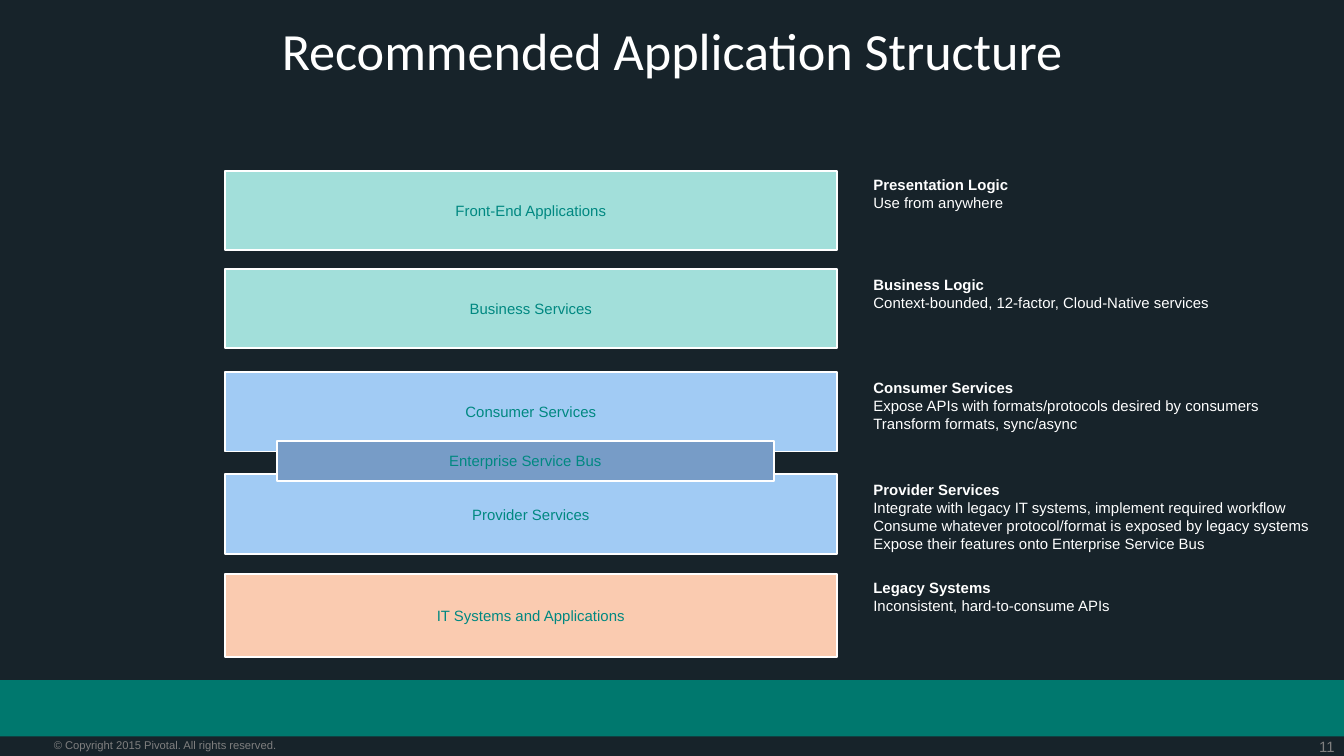
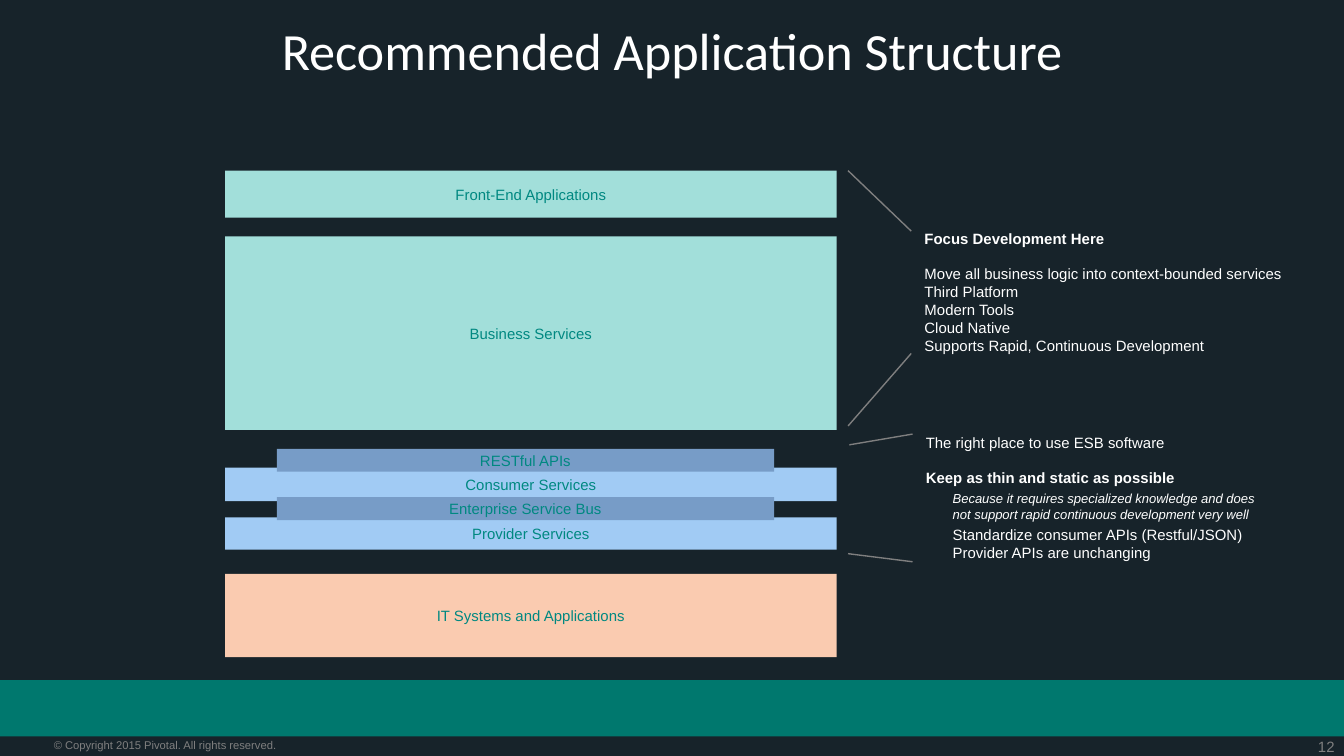
from copy import deepcopy
from dataclasses import dataclass, field
from lxml.etree import SubElement
from pptx import Presentation
from pptx.dml.color import RGBColor
from pptx.enum.shapes import MSO_CONNECTOR, MSO_SHAPE
from pptx.enum.text import MSO_ANCHOR, MSO_AUTO_SIZE, PP_ALIGN
from pptx.oxml.ns import qn
from pptx.util import Inches, Pt

TITLE = "Recommended Application Structure"
COPYRIGHT = "© Copyright 2015 Pivotal. All rights reserved."

LAYERED = {
    "number": 11,
    "outlined": True,
    "layers": [
        ("IT Systems and Applications", "legacy", 42.7, 6.2),
        ("Provider Services", "service", 35.3, 5.9),
        ("Consumer Services", "service", 27.7, 5.9),
        ("Business Services", "business", 20, 5.9),
        ("Front-End Applications", "business", 12.7, 5.9),
        ("Enterprise Service Bus", "bus", 32.8, 3),
    ],
    "notes": [
        (64, 42.6, 19.7, 3.7, [
            ("Legacy Systems", "heading"),
            ("Inconsistent, hard-to-consume APIs", "body"),
        ]),
        (64, 35.3, 34.7, 6.4, [
            ("Provider Services", "heading"),
            ("Integrate with legacy IT systems, implement required workflow", "body"),
            ("Consume whatever protocol/format is exposed by legacy systems", "body"),
            ("Expose their features onto Enterprise Service Bus", "body"),
        ]),
        (64, 27.7, 31, 5, [
            ("Consumer Services", "heading"),
            ("Expose APIs with formats/protocols desired by consumers", "body"),
            ("Transform formats, sync/async", "body"),
        ]),
        (64, 20, 27.2, 5, [
            ("Business Logic", "heading"),
            ("Context-bounded, 12-factor, Cloud-Native services", "body"),
        ]),
        (64, 12.6, 12.3, 5, [
            ("Presentation Logic", "heading"),
            ("Use from anywhere", "body"),
        ]),
    ],
    "callouts": [],
}

FOCUSED = {
    "number": 12,
    "outlined": False,
    "layers": [
        ("IT Systems and Applications", "legacy", 42.7, 6.2),
        ("Provider Services", "service", 38.5, 2.4),
        ("Consumer Services", "service", 34.8, 2.5),
        ("Business Services", "business", 17.6, 14.4),
        ("Front-End Applications", "business", 12.7, 3.5),
        ("Enterprise Service Bus", "bus", 37, 1.7),
        ("RESTful APIs", "bus", 33.4, 1.7),
    ],
    "notes": [
        (67.8, 16.6, 28.8, 10.4, [
            ("Focus Development Here", "heading"),
            ("Move all business logic into context-bounded services", "spaced"),
            ("Third Platform", "body"),
            ("Modern Tools", "body"),
            ("Cloud Native", "body"),
            ("Supports Rapid, Continuous Development", "body"),
        ]),
        (67.9, 31.8, 27, 10.7, [
            ("The right place to use ESB software", "body"),
            ("Keep as thin and static as possible", "spaced heading"),
            ("Because it requires specialized knowledge and does\v"
             "not support rapid continuous development very well", "aside"),
            ("Standardize consumer APIs (Restful/JSON)", "indented"),
            ("Provider APIs are unchanging", "indented"),
        ]),
    ],
    "callouts": [
        ((63.2, 33.1), (67.9, 32.3)),
        ((63.1, 41.2), (67.9, 41.8)),
        ((63.1, 31.7), (67.8, 26.3)),
        ((67.8, 17.2), (63.1, 12.7)),
    ],
}


@dataclass
class Theme:
    colours: dict = field(default_factory=lambda: {
        "ground": "17232A", "strip": "00786E", "quiet": "7F7F7F", "text": "FFFFFF",
        "label": "008881", "legacy": "FACBB0", "service": "A1CBF4",
        "business": "A2DFDA", "bus": "779CC7",
    })
    fonts: dict = field(default_factory=lambda: {
        "title": dict(name="Calibri", size=Pt(28)),
        "fine": dict(name="Arial", size=Pt(6)),
        "body": dict(name="Arial", size=Pt(8), bold=False),
        "heading": dict(name="Arial", size=Pt(8), bold=True),
        "aside": dict(name="Arial", size=Pt(7), italic=True),
    })
    paragraphs: dict = field(default_factory=lambda: {
        "title": dict(alignment=PP_ALIGN.CENTER, line_spacing=0.9),
        "label": dict(alignment=PP_ALIGN.CENTER),
        "number": dict(alignment=PP_ALIGN.RIGHT),
        "spaced": dict(space_before=Pt(9.2)),
        "spaced heading": dict(space_before=Pt(9.2)),
        "aside": dict(space_before=Pt(2), space_after=Pt(2)),
    })
    font_of: dict = field(default_factory=lambda: {
        "title": "title", "fine": "fine", "heading": "heading",
        "spaced heading": "heading", "aside": "aside",
    })
    indented: tuple = ("aside", "indented")

    def colour(self, role):
        return RGBColor.from_string(self.colours[role])


THEME = Theme()
COLUMNS = 100
BAND = (16.75, 45.5)
BUS = (20.6, 37)


def cells(*counts):
    return [Inches(count * 10 / COLUMNS) for count in counts]


def apply(target, values):
    for attribute, value in values.items():
        setattr(target, attribute, value)


def write(frame, lines, colour):
    for index, (wording, style) in enumerate(lines):
        paragraph = frame.add_paragraph() if index else frame.paragraphs[0]
        paragraph.text = wording
        apply(paragraph, THEME.paragraphs.get(style, {}))
        if style in THEME.indented:
            paragraph._p.get_or_add_pPr().set("marL", str(Inches(0.2)))
        for run in paragraph.runs:
            apply(run.font, THEME.fonts[THEME.font_of.get(style, "body")])
            run.font.color.rgb = THEME.colour(colour)
        for line_break in paragraph._p.findall(qn("a:br")):
            line_break.append(deepcopy(paragraph.runs[0]._r.rPr))


def add_rectangle(slide, place, fill, outlined=False):
    rectangle = slide.shapes.add_shape(MSO_SHAPE.RECTANGLE, *cells(*place))
    rectangle.shadow.inherit = False
    rectangle.fill.solid()
    rectangle.fill.fore_color.rgb = THEME.colour(fill)
    if outlined:
        rectangle.line.color.rgb = THEME.colour("text")
        rectangle.line.width = Pt(1)
    else:
        rectangle.line.fill.background()
    return rectangle


def add_flush_text(slide, place, wording, style, colour):
    frame = slide.shapes.add_textbox(*cells(*place)).text_frame
    apply(frame, dict(word_wrap=True, margin_left=0, margin_right=0,
                      margin_top=0, margin_bottom=0))
    write(frame, [(wording, style)], colour)


def add_layer(slide, name, tone, top, height, outlined):
    left, width = BUS if tone == "bus" else BAND
    layer = add_rectangle(slide, (left, top, width, height), tone, outlined)
    apply(layer.text_frame, dict(word_wrap=False, vertical_anchor=MSO_ANCHOR.MIDDLE))
    write(layer.text_frame, [(name, "label")], "label")


def add_note(slide, left, top, width, height, lines):
    frame = slide.shapes.add_textbox(*cells(left, top, width, height)).text_frame
    apply(frame, dict(word_wrap=False, auto_size=MSO_AUTO_SIZE.SHAPE_TO_FIT_TEXT))
    write(frame, lines, "text")


def add_callout(slide, start, end):
    callout = slide.shapes.add_connector(MSO_CONNECTOR.STRAIGHT, *cells(*start, *end))
    callout.line.color.rgb = THEME.colour("quiet")
    callout.line.width = Pt(0.75)
    SubElement(callout._element.spPr, qn("a:effectLst"))


def add_structure(deck, content):
    slide = deck.slides.add_slide(deck.slide_layouts[6])
    slide.background.fill.solid()
    slide.background.fill.fore_color.rgb = THEME.colour("ground")
    add_rectangle(slide, (0, 50.6, COLUMNS, 4.2), "strip")
    add_flush_text(slide, (93.5, 54.9, 5.8, 1.4), str(content["number"]), "number", "quiet")
    add_flush_text(slide, (4, 54.9, 24.9, 1), COPYRIGHT, "fine", "quiet")
    add_flush_text(slide, (4, 1.9, 92, 5), TITLE, "title", "text")
    for layer in content["layers"]:
        add_layer(slide, *layer, content["outlined"])
    for note in content["notes"]:
        add_note(slide, *note)
    for callout in content["callouts"]:
        add_callout(slide, *callout)


def main():
    deck = Presentation()
    deck.slide_width = Inches(10)
    deck.slide_height = deck.slide_width * 9 // 16
    for content in (LAYERED, FOCUSED):
        add_structure(deck, content)
    deck.save("out.pptx")


if __name__ == "__main__":
    main()
